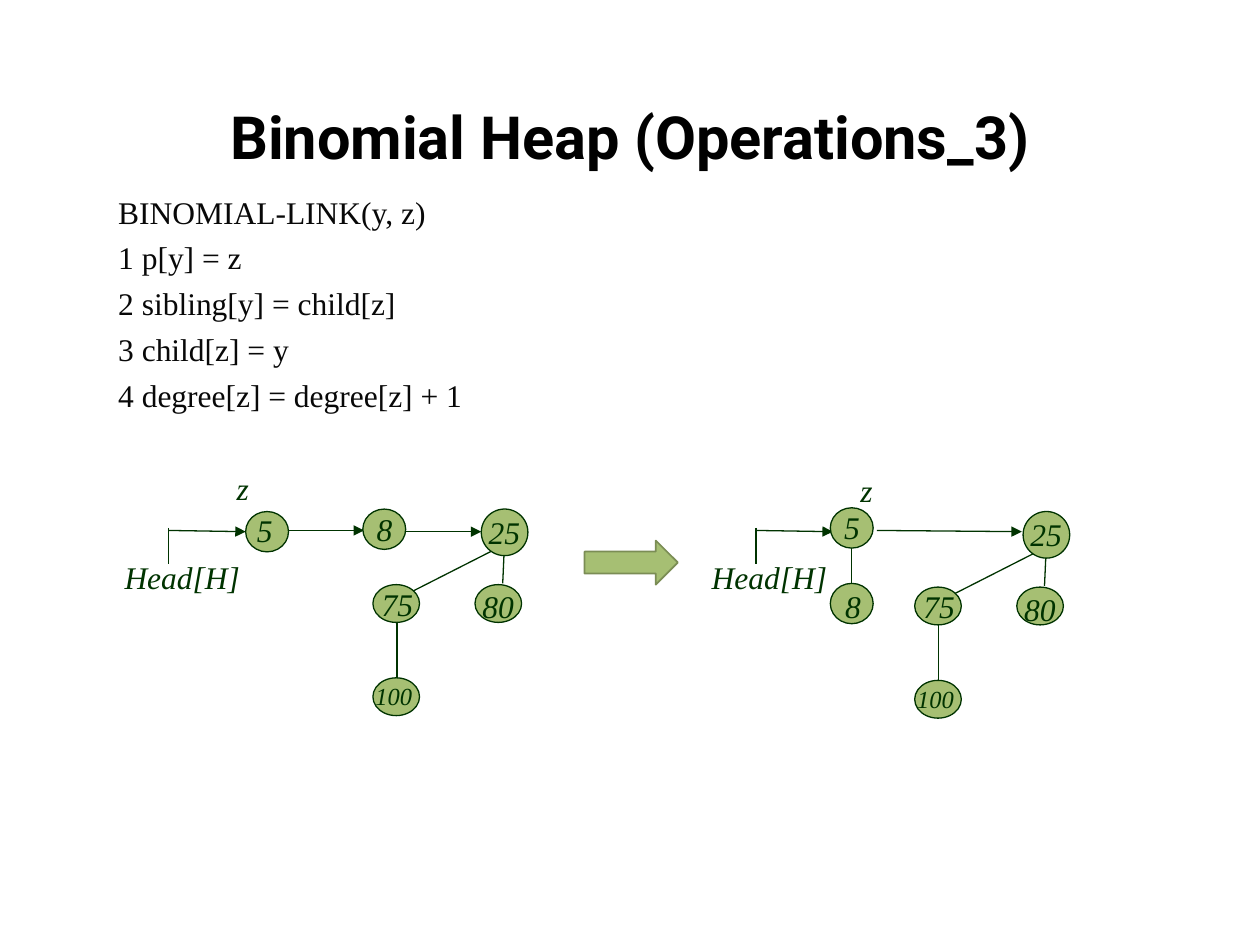
from lxml.etree import SubElement
from pptx import Presentation
from pptx.dml.color import RGBColor
from pptx.enum.shapes import MSO_CONNECTOR, MSO_SHAPE
from pptx.enum.text import MSO_ANCHOR, PP_ALIGN
from pptx.oxml.ns import qn
from pptx.util import Inches, Pt

COLORS = {"title": "000000", "code": "080808", "ink": "003300",
          "node": "A6BF73", "arrow_edge": "7B8D55"}
CODE = ["BINOMIAL-LINK(y, z)", "1 p[y] = z", "2 sibling[y] = child[z]",
        "3 child[z] = y", "4 degree[z] = degree[z] + 1"]


def color(name):
    return RGBColor.from_string(COLORS[name])


def write(tf, lines, size=18, font="Times New Roman", ink="ink", bold=False,
          italic=False, align=PP_ALIGN.LEFT, anchor=MSO_ANCHOR.TOP, gap=0):
    tf.word_wrap = True
    tf.vertical_anchor = anchor
    for i, line in enumerate(lines):
        p = tf.add_paragraph() if i else tf.paragraphs[0]
        p.alignment = align
        p.space_before = Pt(gap if i else 0)
        r = p.add_run()
        r.text = line
        r.font.size = Pt(size)
        r.font.name = font
        r.font.bold = bold
        r.font.italic = italic
        r.font.color.rgb = color(ink)


def label(shapes, text, x, y, w, h=0.4, size=18):
    sp = shapes.add_textbox(Inches(x), Inches(y), Inches(w), Inches(h))
    write(sp.text_frame, [text], size=size, italic=True)


def filled(shapes, kind, x, y, w, h, edge="ink", width=0.75):
    sp = shapes.add_shape(kind, Inches(x), Inches(y), Inches(w), Inches(h))
    sp.shadow.inherit = False
    sp.fill.solid()
    sp.fill.fore_color.rgb = color("node")
    sp.line.color.rgb = color(edge)
    sp.line.width = Pt(width)


def node(shapes, text, x, y, w=0.34, h=0.32, dx=0.01, dy=-0.04, tw=0.42,
         size=18):
    filled(shapes, MSO_SHAPE.OVAL, x, y, w, h)
    label(shapes, text, x + dx, y + dy, tw, size=size)


def link(shapes, x1, y1, x2, y2, arrow=False):
    c = shapes.add_connector(MSO_CONNECTOR.STRAIGHT, Inches(x1), Inches(y1),
                             Inches(x2), Inches(y2))
    c.line.color.rgb = color("ink")
    c.line.width = Pt(0.75)
    if arrow:
        SubElement(c.line._get_or_add_ln(), qn("a:tailEnd"), type="triangle")
    SubElement(c._element.spPr, qn("a:effectLst"))


def head_pointer(shapes, x, y):
    link(shapes, x + 0.45, y - 0.17, x + 1.06, y - 0.16, arrow=True)
    link(shapes, x + 0.45, y - 0.19, x + 0.45, y + 0.1)
    label(shapes, "Head[H]", x, y, 1.5, 0.35)


def tree_25(shapes, x, y):
    for x1, y1, x2, y2 in [(0.27, 0.9, 0.27, 1.34), (1.12, 0.36, 1.11, 0.59),
                           (0.4, 0.65, 1.03, 0.33)]:
        link(shapes, x + x1, y + y1, x + x2, y + y2)
    node(shapes, "25", x + 0.94, y, 0.37, 0.37, -0.04, -0.02, 0.47)
    node(shapes, "75", x + 0.08, y + 0.6, 0.37, 0.3, -0.03, -0.05, 0.49)
    node(shapes, "80", x + 0.89, y + 0.6, 0.37, 0.3, -0.04, -0.03, 0.49)
    node(shapes, "100", x + 0.08, y + 1.34, 0.37, 0.3, -0.08, -0.02, 0.59, 14)


def heap_before(shapes, x, y):
    head_pointer(shapes, x, y + 0.71)
    label(shapes, "z", x + 0.89, y, 0.42)
    node(shapes, "5", x + 1.06, y + 0.39, dx=-0.01, dy=-0.05)
    link(shapes, x + 1.4, y + 0.54, x + 2, y + 0.54, arrow=True)
    node(shapes, "8", x + 1.99, y + 0.37)
    link(shapes, x + 2.33, y + 0.55, x + 2.93, y + 0.55, arrow=True)
    tree_25(shapes, x + 1.99, y + 0.37)


def heap_after(shapes, x, y):
    head_pointer(shapes, x, y + 0.69)
    label(shapes, "z", x + 1.18, y, 0.42)
    link(shapes, x + 1.21, y + 0.66, x + 1.21, y + 0.94)
    node(shapes, "5", x + 1.04, y + 0.34, dy=-0.05)
    node(shapes, "8", x + 1.04, y + 0.94, dx=0.02, dy=-0.02)
    link(shapes, x + 1.41, y + 0.52, x + 2.56, y + 0.53, arrow=True)
    tree_25(shapes, x + 1.63, y + 0.37)


def title(s, x, y, w, h):
    sp = s.shapes.title
    sp.left, sp.top, sp.width, sp.height = map(Inches, (x, y, w, h))
    write(sp.text_frame, ["Binomial Heap (Operations_3)"], size=34,
          font="Roboto", ink="title", bold=True, align=PP_ALIGN.CENTER,
          anchor=MSO_ANCHOR.MIDDLE)


def code(s, x, y, w, h):
    sp = s.shapes.add_textbox(Inches(x), Inches(y), Inches(w), Inches(h))
    write(sp.text_frame, CODE, ink="code", align=PP_ALIGN.JUSTIFY, gap=4.6)


def main():
    prs = Presentation()
    prs.slide_width, prs.slide_height = Inches(10), Inches(7.5)
    s = prs.slides.add_slide(prs.slide_layouts[5])
    title(s, 0.5, 0.68, 9, 0.79)
    code(s, 0.84, 1.48, 7.86, 2.27)
    filled(s.shapes, MSO_SHAPE.RIGHT_ARROW, 4.64, 4.29, 0.74, 0.35,
           edge="arrow_edge", width=1)
    heap_before(s.shapes.add_group_shape().shapes, 0.89, 3.67)
    heap_after(s.shapes.add_group_shape().shapes, 5.55, 3.69)
    prs.save("out.pptx")


if __name__ == "__main__":
    main()
